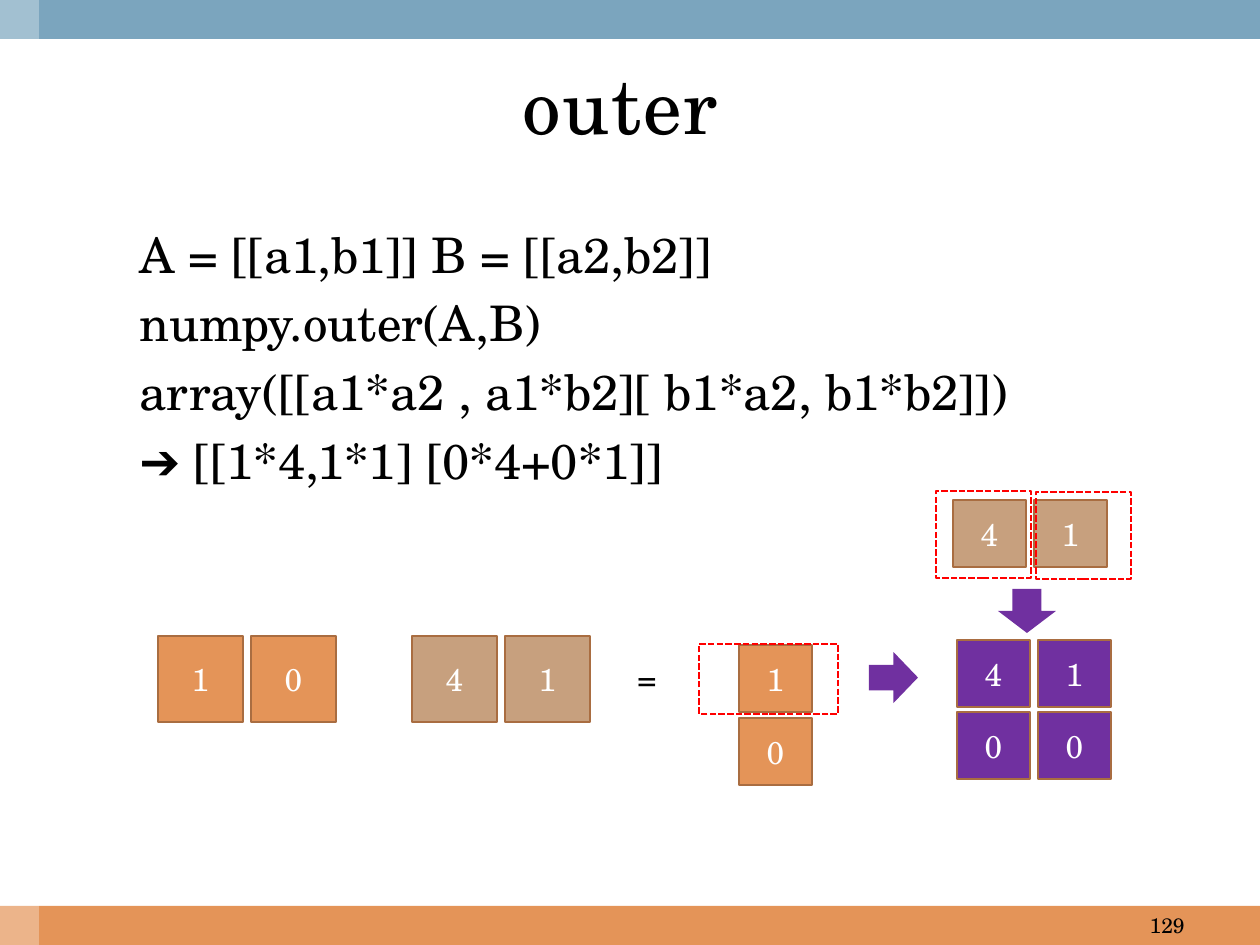
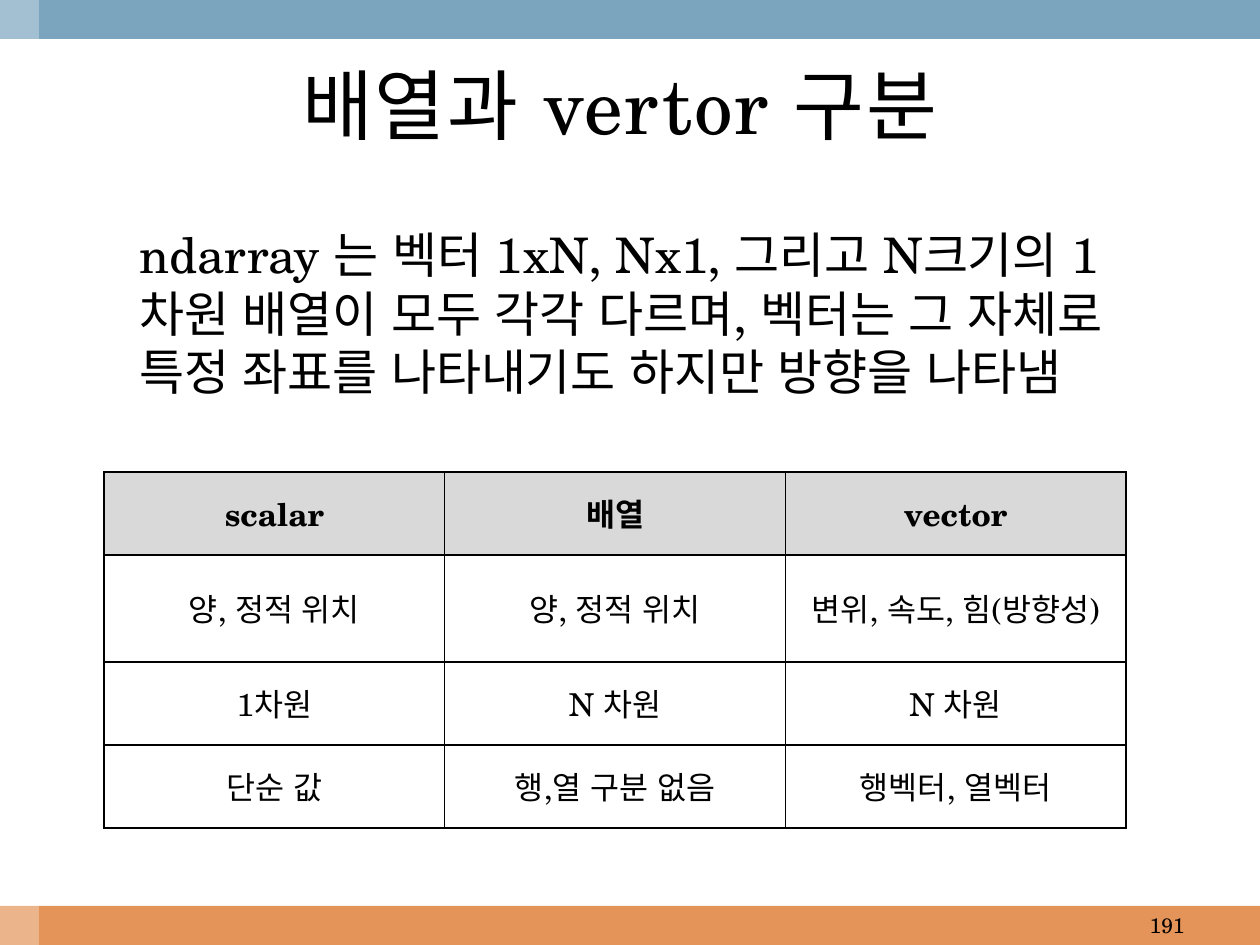
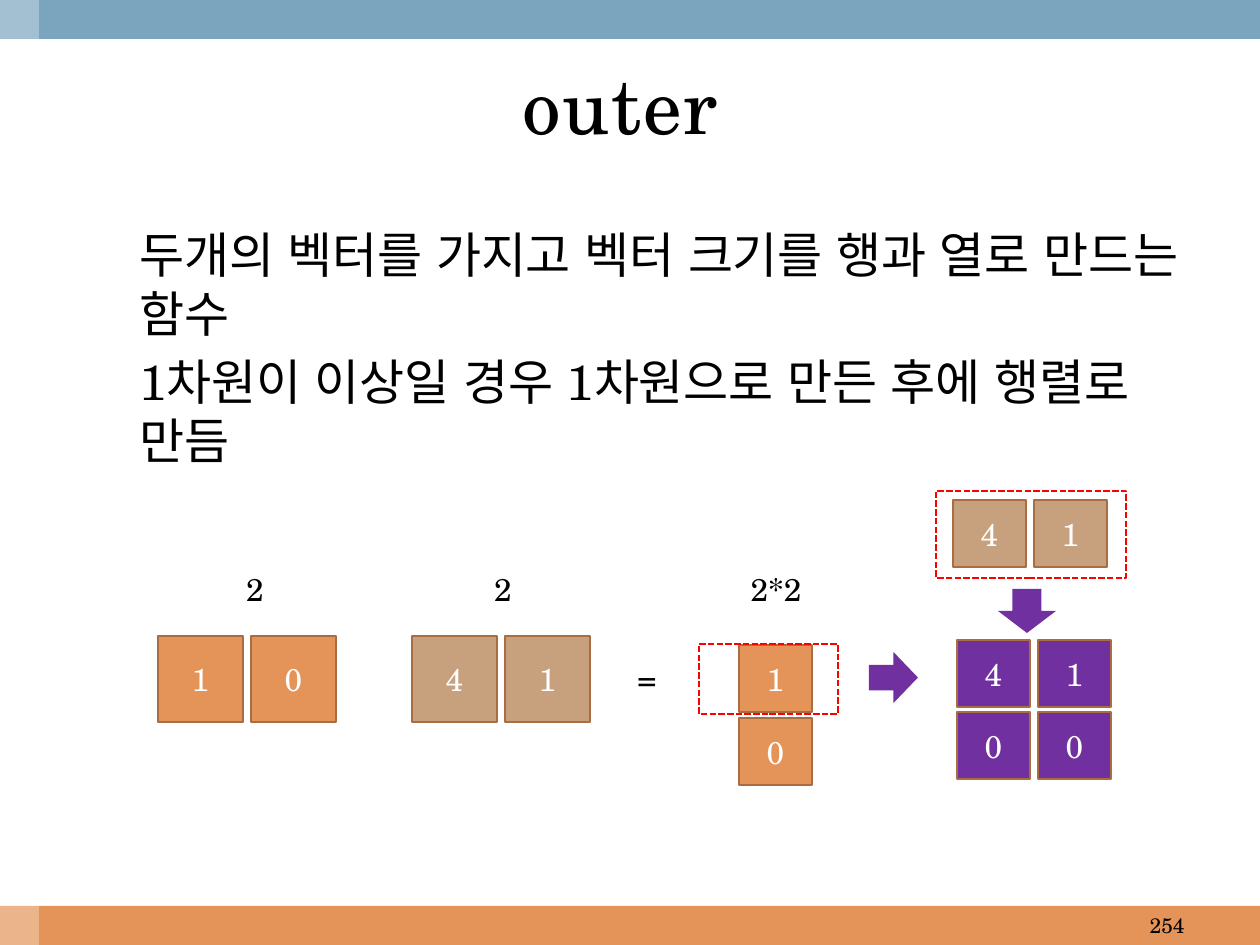
from dataclasses import dataclass

from lxml import etree
from pptx import Presentation
from pptx.dml.color import RGBColor
from pptx.enum.dml import MSO_LINE
from pptx.enum.shapes import MSO_SHAPE
from pptx.enum.text import MSO_ANCHOR, PP_ALIGN
from pptx.oxml.ns import qn
from pptx.util import Emu, Pt

RECT, DOWN = MSO_SHAPE.RECTANGLE, MSO_SHAPE.DOWN_ARROW
DASH = MSO_LINE.SQUARE_DOT
TOP, MIDDLE = MSO_ANCHOR.TOP, MSO_ANCHOR.MIDDLE
LEFT, CENTER, RIGHT = PP_ALIGN.LEFT, PP_ALIGN.CENTER, PP_ALIGN.RIGHT


@dataclass(frozen=True)
class Theme:
    font: str = "TeX Gyre Schola"
    ink: str = "000000"
    paper: str = "FFFFFF"
    blue: str = "7BA5BE"
    orange: str = "E49458"
    tan: str = "C7A07E"
    purple: str = "7030A0"
    edge: str = "A96D41"
    mark: str = "FF0000"
    head: str = "D9D9D9"
    title: int = 44
    body: int = 28
    label: int = 18
    small: int = 12
    line: float = 1.25


T = Theme()
WIDE, HIGH, BAND = 1260, 945, 39


def px(n):
    return Emu(round(n * 914400 / 126))


def rgb(code):
    return RGBColor.from_string(code)


def style(para, size, color=T.ink, align=LEFT, bold=False):
    """Set one font for Latin and Korean letters alike."""
    para.alignment = align
    font = para.font
    font.name, font.size, font.bold = T.font, Pt(size), bold
    font.color.rgb = rgb(color)
    props = para._p.pPr.find(qn("a:defRPr"))
    etree.SubElement(props, qn("a:ea"), typeface=T.font)


def shape(shapes, box, fill=None, line=None, kind=RECT):
    item = shapes.add_shape(kind, *map(px, box))
    item.shadow.inherit = False
    if fill:
        item.fill.solid()
        item.fill.fore_color.rgb = rgb(fill)
    else:
        item.fill.background()
    if line:
        item.line.color.rgb = rgb(line)
        item.line.width = Pt(T.line)
    else:
        item.line.fill.background()
    return item


def text(slide, box, lines, size, align=LEFT, anchor=TOP, indent=0):
    frame = slide.shapes.add_textbox(*map(px, box)).text_frame
    frame.word_wrap = True
    frame.vertical_anchor = anchor
    frame.text = "\n".join(lines)
    for i, para in enumerate(frame.paragraphs):
        props = para._p.get_or_add_pPr()
        props.set("marL", str(px(indent)))
        props.set("indent", "0")
        if i:
            para.space_before = Pt(size * 0.2)
        style(para, size, align=align)
    return frame


def base(deck, title, number, lines):
    """Add a slide with its bands, title, page number and body text."""
    slide = deck.slides.add_slide(deck.slide_layouts[6])
    shape(slide.shapes, (0, HIGH - BAND, WIDE, BAND), T.orange)
    shape(slide.shapes, (0, 0, WIDE, BAND), T.blue)
    strip = shape(slide.shapes, (0, 0, BAND, HIGH), T.paper)
    tint = strip.fill._xPr.find(f".//{qn('a:srgbClr')}")
    etree.SubElement(tint, qn("a:alpha"), val="30000")
    text(slide, (64, 218, 1134, 275), lines, T.body, indent=63)
    text(slide, (903, HIGH - BAND, 294, BAND), [str(number)], T.small,
         RIGHT, MIDDLE)
    frame = text(slide, (42, 39, 1179, 130), [title], T.title, CENTER, MIDDLE)
    frame.paragraphs[0].runs[0]._r.get_or_add_rPr().set("spc", "100")
    return slide


def grid(slide, left, top, rows, fill, cell=(73, 67), step=(81, 72)):
    """Draw a matrix as a group of numbered squares."""
    group = slide.shapes.add_group_shape()
    for r, row in enumerate(rows):
        for c, value in enumerate(row):
            box = (left + c * step[0], top + r * step[1], *cell)
            item = shape(group.shapes, box, fill, T.edge)
            frame = item.text_frame
            frame.text = str(value)
            frame.vertical_anchor = MIDDLE
            style(frame.paragraphs[0], T.label, T.paper, CENTER)


def frames(slide, boxes):
    """Mark regions with dashed outlines."""
    for box in boxes:
        shape(slide.shapes, box, line=T.mark).line.dash_style = DASH


def product(slide, left, top, marks):
    """Show the outer product of two vectors, step by step."""
    big = {"cell": (85, 86), "step": (93, 0)}
    grid(slide, left, top + 136, [[1, 0]], T.orange, **big)
    grid(slide, left + 254, top + 136, [[4, 1]], T.tan, **big)
    grid(slide, left + 581, top + 145, [[1], [0]], T.orange, step=(0, 73))
    grid(slide, left + 795, top, [[4, 1]], T.tan)
    grid(slide, left + 799, top + 140, [[4, 1], [0, 0]], T.purple)
    shape(slide.shapes, (left + 840, top + 89, 58, 44), T.purple, kind=DOWN)
    turn = shape(slide.shapes, (left + 710, top + 153, 51, 49), T.purple,
                 kind=DOWN)
    turn.rotation = 270
    text(slide, (left + 467, top + 153, 30, 50), ["="], T.label)
    spots = [(541, 144, 139, 70), *marks]
    frames(slide, [(left + x, top + y, w, h) for x, y, w, h in spots])


def sizes(slide, left, top, items):
    """Write the size of each vector above it."""
    for x, label in items:
        text(slide, (left + x, top, 110, 50), [label], T.label, CENTER)


def border(cell):
    props = cell._tc.get_or_add_tcPr()
    for i, side in enumerate(("lnL", "lnR", "lnT", "lnB")):
        line = etree.Element(qn(f"a:{side}"), w="12700")
        fill = etree.SubElement(line, qn("a:solidFill"))
        etree.SubElement(fill, qn("a:srgbClr"), val=T.ink)
        props.insert(i, line)


def table(slide, left, top, width, rows, heights):
    box = (left, top, width, sum(heights))
    item = slide.shapes.add_table(len(rows), len(rows[0]), *map(px, box))
    sheet = item.table
    for r, row in enumerate(rows):
        sheet.rows[r].height = px(heights[r])
        for c, value in enumerate(row):
            cell = sheet.cell(r, c)
            cell.text = value
            cell.vertical_anchor = MIDDLE
            cell.fill.solid()
            cell.fill.fore_color.rgb = rgb(T.paper if r else T.head)
            style(cell.text_frame.paragraphs[0], T.label, align=CENTER,
                  bold=r == 0)
            border(cell)


def main():
    deck = Presentation()
    deck.slide_width, deck.slide_height = px(WIDE), px(HIGH)

    slide = base(deck, "outer ", 129, [
        "A = [[a1,b1]] B = [[a2,b2]]",
        "numpy.outer(A,B)",
        "array([[a1*a2 , a1*b2][ b1*a2, b1*b2]])",
        "➔ [[1*4,1*1] [0*4+0*1]]",
    ])
    product(slide, 158, 500, [(778, -9, 95, 87), (878, -8, 95, 87)])

    slide = base(deck, "배열과 vertor 구분 ", 191, [
        "ndarray 는 벡터 1xN, Nx1, 그리고 N크기의 1차원 배열이 모두 각각 "
        "다르며, 벡터는 그 자체로 특정 좌표를 나타내기도 하지만 방향을 나타냄",
    ])
    table(slide, 104, 472, 1022, [
        ["scalar", "배열", "vector"],
        ["양, 정적 위치", "양, 정적 위치", "변위, 속도, 힘(방향성)"],
        ["1차원", "N 차원", "N 차원"],
        ["단순 값", "행,열 구분 없음", "행벡터, 열벡터"],
    ], (83, 107, 83, 83))

    slide = base(deck, "outer ", 254, [
        "두개의 벡터를 가지고 벡터 크기를 행과 열로 만드는 함수",
        "1차원이 이상일 경우 1차원으로 만든 후에 행렬로 만듬",
    ])
    product(slide, 158, 500, [(778, -9, 190, 87)])
    sizes(slide, 158, 564, [(42, "2"), (290, "2"), (563, "2*2")])

    deck.save("out.pptx")


if __name__ == "__main__":
    main()
